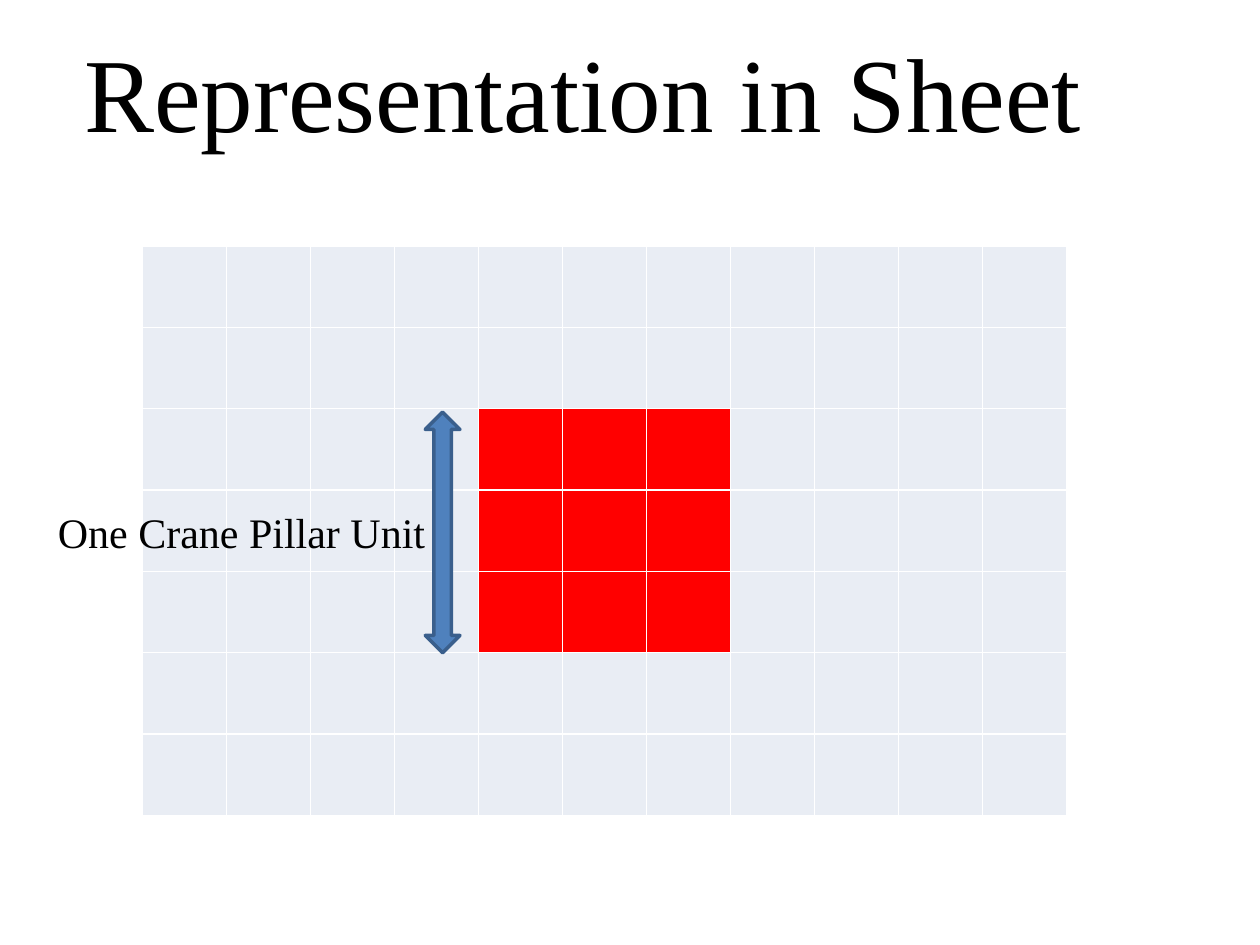
from pptx import Presentation
from pptx.dml.color import RGBColor
from pptx.enum.shapes import MSO_SHAPE
from pptx.enum.text import MSO_ANCHOR, PP_ALIGN
from pptx.oxml import parse_xml
from pptx.oxml.ns import nsdecls
from pptx.util import Pt

DOUBLE_ARROW = MSO_SHAPE.UP_DOWN_ARROW
MIDDLE, TOP = MSO_ANCHOR.MIDDLE, MSO_ANCHOR.TOP
LEFT, CENTER = PP_ALIGN.LEFT, PP_ALIGN.CENTER

ROWS, COLUMNS = 7, 11
ROW_HEIGHT, COLUMN_WIDTH = 46.5, 48
PILLAR_ROWS, PILLAR_COLUMNS = range(2, 5), range(4, 7)


def color(value):
    return RGBColor.from_string(value)


class SlideBuilder:
    font = "Times New Roman"
    ink = "000000"
    grid_fill = "E9EDF4"
    grid_line = "FFFFFF"
    pillar_fill = "FF0000"
    arrow_fill = "4F81BD"
    arrow_line = "3A5F8C"

    def __init__(self, page):
        self.page = page

    def text(self, words, left, top, width, height, size,
             align=LEFT, anchor=TOP, wrap=True):
        box = self.page.shapes.add_textbox(Pt(left), Pt(top), Pt(width), Pt(height))
        frame = box.text_frame
        frame.word_wrap = wrap
        frame.vertical_anchor = anchor
        frame.text = words
        paragraph = frame.paragraphs[0]
        paragraph.alignment = align
        for span in paragraph.runs:
            span.font.name = self.font
            span.font.size = Pt(size)
            span.font.color.rgb = color(self.ink)

    def border(self, cell):
        properties = cell._tc.get_or_add_tcPr()
        for side in ("lnL", "lnR", "lnT", "lnB"):
            properties.append(parse_xml(
                f'<a:{side} {nsdecls("a")} w="{Pt(1)}"><a:solidFill>'
                f'<a:srgbClr val="{self.grid_line}"/></a:solidFill></a:{side}>'))

    def grid(self, left, top):
        table = self.page.shapes.add_table(
            ROWS, COLUMNS, Pt(left), Pt(top),
            Pt(COLUMNS * COLUMN_WIDTH), Pt(ROWS * ROW_HEIGHT)).table
        table.first_row = False
        table.horz_banding = False
        for column in table.columns:
            column.width = Pt(COLUMN_WIDTH)
        for row_number, row in enumerate(table.rows):
            row.height = Pt(ROW_HEIGHT)
            for column_number, cell in enumerate(row.cells):
                in_pillar = (row_number in PILLAR_ROWS
                             and column_number in PILLAR_COLUMNS)
                self.border(cell)
                cell.fill.solid()
                cell.fill.fore_color.rgb = color(
                    self.pillar_fill if in_pillar else self.grid_fill)

    def arrow(self, left, top, width, height):
        shape = self.page.shapes.add_shape(
            DOUBLE_ARROW, Pt(left), Pt(top), Pt(width), Pt(height))
        shape.shadow.inherit = False
        shape.fill.solid()
        shape.fill.fore_color.rgb = color(self.arrow_fill)
        shape.line.color.rgb = color(self.arrow_line)
        shape.line.width = Pt(2)


def main():
    deck = Presentation()
    deck.slide_width, deck.slide_height = Pt(720), Pt(540)
    builder = SlideBuilder(deck.slides.add_slide(deck.slide_layouts[6]))

    # Cell grid with the pillar block
    builder.grid(81.5, 140.5)

    # Title
    builder.text("Representation in Sheet", 23, -0.5, 620.5, 104.5, 60,
                 align=CENTER, anchor=MIDDLE)

    # Height of one unit
    builder.arrow(243, 235.5, 19.8, 137.5)
    builder.text("One Crane Pillar Unit", 26, 286, 226, 36, 24, wrap=False)

    deck.save("out.pptx")


if __name__ == "__main__":
    main()
